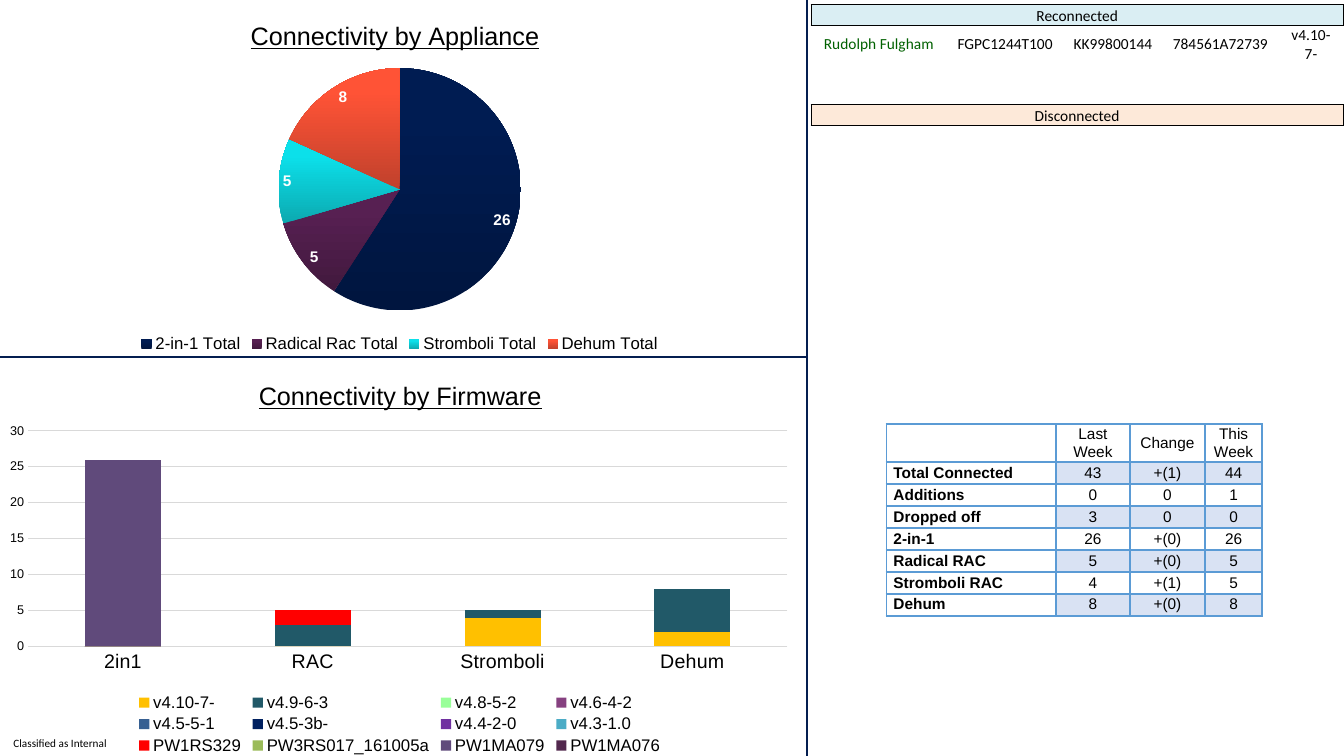
from lxml import etree
from pptx import Presentation
from pptx.chart.data import CategoryChartData
from pptx.dml.color import RGBColor
from pptx.enum.chart import XL_CHART_TYPE as ChartType
from pptx.enum.chart import XL_LEGEND_POSITION as LegendPosition
from pptx.enum.chart import XL_TICK_MARK as TickMark
from pptx.enum.shapes import MSO_CONNECTOR as Connector
from pptx.enum.text import MSO_ANCHOR as Anchor
from pptx.enum.text import PP_ALIGN as Align
from pptx.oxml import parse_xml
from pptx.oxml.ns import nsdecls, qn
from pptx.util import Pt

NO_TABLE_STYLE = "{2D5ABB26-0587-4C30-8999-92F81FD0307C}"

# name, value, dark and light ends of the slice gradient
APPLIANCES = [
    ("2-in-1 Total", 26, "00153F", "001C52"),
    ("Radical Rac Total", 5, "42193E", "572052"),
    ("Stromboli Total", 5, "0CA9B0", "0CE0EA"),
    ("Dehum Total", 8, "C0412C", "FF5336"),
]
FIRMWARE_TARGETS = ["2in1", "RAC", "Stromboli", "Dehum"]
NONE = (0, 0, 0, 0)
FIRMWARE = [
    ("v4.10-7-", (0, 0, 4, 2), "FFC000"),
    ("v4.9-6-3", (0, 3, 1, 6), "215968"),
    ("v4.8-5-2", NONE, "99FF99"),
    ("v4.6-4-2", NONE, "864180"),
    ("v4.5-5-1", NONE, "376092"),
    ("v4.5-3b-", NONE, "002060"),
    ("v4.4-2-0", NONE, "7030A0"),
    ("v4.3-1.0", NONE, "4BACC6"),
    ("PW1RS329", (0, 2, 0, 0), "FF0000"),
    ("PW3RS017_161005a", NONE, "9BBB59"),
    ("PW1MA079", (26, 0, 0, 0), "604A7B"),
    ("PW1MA076", NONE, "52284E"),
]
WEEKLY = [
    ("", "Last Week", "Change", "This Week"),
    ("Total Connected", "43", "+(1)", "44"),
    ("Additions", "0", "0", "1"),
    ("Dropped off", "3", "0", "0"),
    ("2-in-1", "26", "+(0)", "26"),
    ("Radical RAC", "5", "+(0)", "5"),
    ("Stromboli RAC", "4", "+(1)", "5"),
    ("Dehum", "8", "+(0)", "8"),
]
RECONNECTED = ("Rudolph Fulgham", "FGPC1244T100", "KK99800144", "784561A72739", "v4.10-7-")


def rgb(color):
    return RGBColor.from_string(color)


def style_font(font, size, name="Arial", color="000000", bold=False):
    font.size, font.name, font.bold = Pt(size), name, bold
    font.color.rgb = rgb(color)


def add_divider(page, x1, y1, x2, y2):
    line = page.shapes.add_connector(Connector.STRAIGHT, Pt(x1), Pt(y1), Pt(x2), Pt(y2))
    line.line.color.rgb = rgb("041E50")
    line.line.width = Pt(1.5)
    etree.SubElement(line._element.spPr, qn("a:effectLst"))


def add_classification(page):
    box = page.shapes.add_textbox(0, Pt(522), Pt(86), Pt(18))
    frame = box.text_frame
    frame.word_wrap = True
    frame.vertical_anchor = Anchor.MIDDLE
    frame.margin_left = frame.margin_right = frame.margin_top = frame.margin_bottom = 0
    para = frame.paragraphs[0]
    para.text = "Classified as Internal"
    para.alignment = Align.CENTER
    style_font(para.font, 8, "Calibri")


def set_layout(parent, index, **fractions):
    """Place a chart part by fractions of the chart's size."""
    for old in parent.findall(qn("c:layout")):
        parent.remove(old)
    target = '<c:layoutTarget val="inner"/>' if parent.tag == qn("c:plotArea") else ""
    modes = "".join(f'<c:{key}Mode val="edge"/>' for key in "xy")
    places = "".join(f'<c:{key} val="{value}"/>' for key, value in fractions.items())
    parent.insert(index, parse_xml(
        f'<c:layout {nsdecls("c")}><c:manualLayout>{target}{modes}{places}'
        "</c:manualLayout></c:layout>"))


def add_chart(page, kind, data, top, height, title, title_place, plot_place):
    frame = page.shapes.add_chart(kind, Pt(-3), Pt(top), Pt(577), Pt(height), data)
    chart = frame.chart
    style_font(chart.font, 10)
    chart.has_title = True
    para = chart.chart_title.text_frame.paragraphs[0]
    para.text = title
    style_font(para.font, 18)
    para.font.underline = True
    chart.chart_title.include_in_layout = False
    set_layout(chart.chart_title._element, 1, **title_place)
    chart.has_legend = True
    chart.legend.position = LegendPosition.BOTTOM
    chart.legend.include_in_layout = False
    style_font(chart.legend.font, 12)
    set_layout(chart._chartSpace.chart.plotArea, 0, **plot_place)
    return chart


def fill_slice(point, dark, light):
    fill = point.format.fill
    fill.gradient()
    fill.gradient_angle = 90
    start, end = fill.gradient_stops
    start.color.rgb, end.color.rgb = rgb(dark), rgb(light)
    start.position, end.position = 0, 0.8


def add_appliance_pie(page):
    names, values, darks, lights = zip(*APPLIANCES)
    data = CategoryChartData()
    data.categories = names
    data.add_series("Series 1", values)
    data.add_series("Series 2", [0])
    chart = add_chart(page, ChartType.PIE, data, 3, 252, "Connectivity by Appliance",
                      dict(x=0.31, y=0.03), dict(x=0.35, y=0.18, w=0.3, h=0.69))
    chart.replace_data(data)  # a new pie holds only the first series
    plot = chart.plots[0]
    plot.vary_by_categories = True
    totals, extra = plot.series
    for index, (dark, light) in enumerate(zip(darks, lights)):
        fill_slice(totals.points[index], dark, light)
    fill_slice(extra.points[0], darks[0], lights[0])
    labels = totals.data_labels
    labels.show_value = True
    labels.show_percentage = False
    style_font(labels.font, 11, color="FFFFFF", bold=True)


def add_firmware_columns(page):
    data = CategoryChartData()
    data.categories = FIRMWARE_TARGETS
    for name, values, _ in FIRMWARE:
        data.add_series(name, values)
    chart = add_chart(page, ChartType.COLUMN_STACKED, data, 256.5, 285,
                      "Connectivity by Firmware", dict(x=0.32, y=0.04),
                      dict(x=0.04, y=0.18, w=0.94, h=0.54))
    set_layout(chart.legend._element, 1, x=0.17, y=0.83, w=0.66, h=0.17)
    plot = chart.plots[0]
    plot.vary_by_categories = False
    plot.gap_width, plot.overlap = 150, 100
    for series, (_, _, color) in zip(plot.series, FIRMWARE):
        series.format.fill.solid()
        series.format.fill.fore_color.rgb = rgb(color)
    targets, counts = chart.category_axis, chart.value_axis
    for axis, size in ((targets, 14), (counts, 9)):
        style_font(axis.tick_labels.font, size)
        axis.major_tick_mark = axis.minor_tick_mark = TickMark.NONE
    counts.minimum_scale, counts.maximum_scale, counts.major_unit = 0, 30, 5
    counts.format.line.fill.background()
    for line in (targets.format.line, counts.major_gridlines.format.line):
        line.color.rgb = rgb("D9D9D9")
        line.width = Pt(0.75)


def add_table(page, left, top, widths, heights):
    frame = page.shapes.add_table(len(heights), len(widths), Pt(left), Pt(top),
                                  Pt(sum(widths)), Pt(sum(heights)))
    table = frame.table
    table.first_row = table.horz_banding = False
    table._tbl.tblPr.find(qn("a:tableStyleId")).text = NO_TABLE_STYLE
    for column, width in zip(table.columns, widths):
        column.width = Pt(width)
    for row, height in zip(table.rows, heights):
        row.height = Pt(height)
    return table


def fill_cell(cell, text, font, color="000000", bold=False, align=Align.CENTER,
              fill=None, anchor=Anchor.MIDDLE):
    cell.margin_left = cell.margin_right = Pt(5)
    cell.margin_top = cell.margin_bottom = 0
    cell.vertical_anchor = anchor
    para = cell.text_frame.paragraphs[0]
    para.text = text
    para.alignment = align
    style_font(para.font, 11, font, color, bold)
    if fill:
        cell.fill.solid()
        cell.fill.fore_color.rgb = rgb(fill)
    else:
        cell.fill.background()


def set_borders(cell, color, width):
    for index, side in enumerate("LRTB"):
        cell._tc.get_or_add_tcPr().insert(index, parse_xml(
            f'<a:ln{side} {nsdecls("a")} w="{Pt(width)}"><a:solidFill>'
            f'<a:srgbClr val="{color}"/></a:solidFill></a:ln{side}>'))


def add_weekly_table(page):
    table = add_table(page, 633.2, 303, [121, 53, 53.5, 41], [27] + [15.7] * 7)
    for r, row in enumerate(WEEKLY):
        for c, text in enumerate(row):
            label = c == 0
            fill_cell(table.cell(r, c), text, "Arial", bold=label,
                      align=Align.LEFT if label else Align.CENTER,
                      fill="D9E2F3" if r % 2 and not label else "FFFFFF")
            set_borders(table.cell(r, c), "5B9BD5", 1.5)


def add_device_table(page):
    table = add_table(page, 579.5, 3.5, [96.5, 84, 70, 83.5, 46], [15] * 6)
    banners = {0: ("Reconnected", "DAEEF3"), 4: ("Disconnected", "FDE9D9")}
    for r in range(6):
        for c in range(5):
            cell = table.cell(r, c)
            if r in banners:
                text, fill = banners[r]
                fill_cell(cell, "" if c else text, "Calibri", fill=fill, anchor=Anchor.BOTTOM)
                set_borders(cell, "000000", 1)
            else:
                fill_cell(cell, RECONNECTED[c] if r == 1 else "", "Calibri",
                          color="006100" if (r, c) == (1, 0) else "000000")
        if r in banners:
            table.cell(r, 0).merge(table.cell(r, 4))


def main():
    deck = Presentation()
    deck.slide_width, deck.slide_height = Pt(960), Pt(540)
    page = deck.slides.add_slide(deck.slide_layouts[6])
    add_classification(page)
    add_divider(page, 0, 255, 576.7, 255)
    for end in (0, 540):
        add_divider(page, 576.7, 255, 576.7, end)
    add_weekly_table(page)
    add_appliance_pie(page)
    add_firmware_columns(page)
    add_device_table(page)
    deck.save("out.pptx")


if __name__ == "__main__":
    main()
